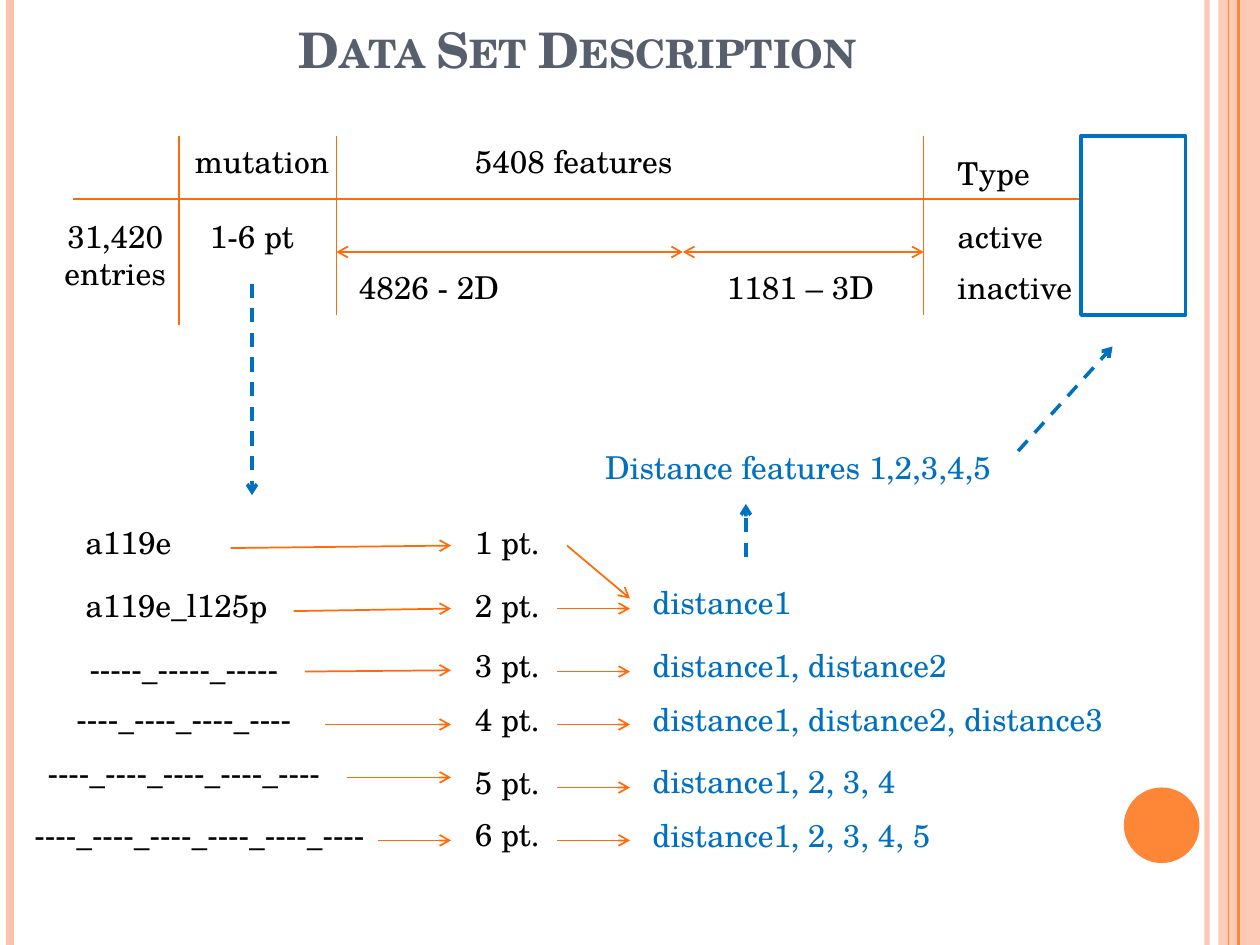
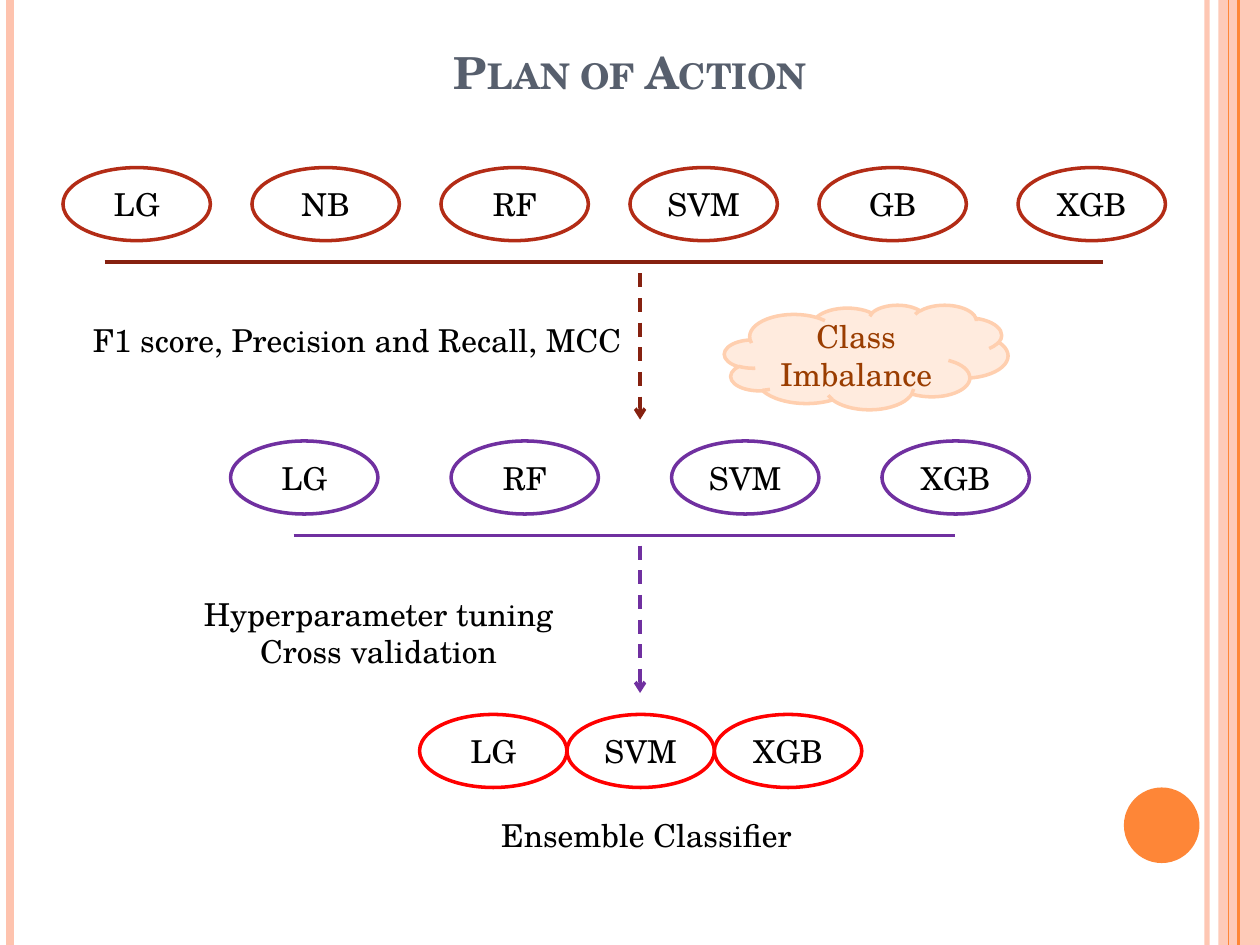
from pptx import Presentation
from pptx.dml.color import RGBColor
from pptx.enum.dml import MSO_LINE
from pptx.enum.shapes import MSO_CONNECTOR, MSO_SHAPE
from pptx.enum.text import MSO_ANCHOR, MSO_AUTO_SIZE, PP_ALIGN
from pptx.oxml.ns import qn
from pptx.util import Inches, Pt
from lxml.etree import SubElement

FONT = "TeX Gyre Schola"
COLORS = {
    "text": "000000", "title": "575F6D", "white": "FFFFFF",
    "band": "FEC3AE", "accent": "FE8637", "arrow": "FF6B0A", "blue": "0070C0",
    "rust": "B32C16", "dark rust": "862110", "purple": "7030A0", "red": "FF0000",
    "cloud": "FFCFAF", "cloud text": "9A3D01",
}
LEFT, CENTER = PP_ALIGN.LEFT, PP_ALIGN.CENTER

# Shared side bands: x, colour, width in points, opacity
BAND_LINES = [(9.58, "band", 3, 93), (0.08, "band", 4.5, 100),
              (9.83, "accent", 1.5, 100), (9.75, "accent", 0.75, 100)]

# Slide 1: table heads and cells as left, top, width, alignment, lines
DATA_LABELS = [
    (0.33, 1.67, 1.17, CENTER, ["31,420", "entries"]),
    (1.33, 1.08, 1.5, CENTER, ["mutation"]),
    (1.5, 1.67, 1, CENTER, ["1-6 pt"]),
    (3.67, 1.08, 2, LEFT, ["5408 features"]),
    (2.75, 2.08, 1.42, LEFT, ["4826 - 2D"]),
    (5.67, 2.08, 1.42, LEFT, ["1181 – 3D"]),
    (7.5, 1.17, 0.83, LEFT, ["Type"]),
    (7.5, 1.67, 1.17, LEFT, ["active"]),
    (7.5, 2.08, 1.17, LEFT, ["inactive"]),
]
TABLE_RULES = [((0.58, 1.58), (8.58, 1.58)), ((1.42, 1.08), (1.42, 2.58)),
               ((2.67, 2.5), (2.67, 1.08)), ((7.33, 1.08), (7.33, 2.5))]
FEATURE_SPANS = [(2.67, 5.42), (5.42, 7.33)]
BLUE_ARROWS = [((2, 2.25), (2, 3.93)), ((8.08, 3.58), (8.83, 2.75)),
               ((5.92, 4.42), (5.92, 4))]

# Mutation: text, left, top, width, alignment, arrow start;
# then the top of the point count
MUTATIONS = [
    ("a119e", 0.58, 4.1, 0.92, LEFT, (1.83, 4.35), 4.1),
    ("a119e_l125p", 0.58, 4.6, 1.67, LEFT, (2.33, 4.85), 4.6),
    ("-----_-----_-----", 0.42, 5.1, 2.08, CENTER, (2.42, 5.33), 5.08),
    ("----_----_----_----", 0.42, 5.5, 2.08, CENTER, (2.58, 5.75), 5.51),
    ("----_----_----_----_----", 0.25, 5.93, 2.42, CENTER, (2.75, 6.17), 6.01),
    ("----_----_----_----_----_----", 0.17, 6.42, 2.83, CENTER, (3, 6.67), 6.42),
]
MUTATION_ARROW_ENDS = [4.33, 4.83, 5.32, 5.75, 6.17, 6.67]
# Distances: text, top, width, arrow height
DISTANCES = [
    ("distance1", 4.58, 1.92, 4.83),
    ("distance1, distance2", 5.08, 2.75, 5.33),
    ("distance1, distance2, distance3", 5.51, 4.25, 5.75),
    ("distance1, 2, 3, 4", 6, 3.42, 6.25),
    ("distance1, 2, 3, 4, 5", 6.43, 2.75, 6.67),
]

# Slide 2: outline colour, top, models with their left edge
MODEL_ROWS = [
    ("rust", 1.33, {"LG": 0.5, "NB": 2, "RF": 3.5, "SVM": 5, "GB": 6.5, "XGB": 8.08}),
    ("purple", 3.5, {"LG": 1.83, "RF": 3.58, "SVM": 5.33, "XGB": 7}),
    ("red", 5.67, {"LG": 3.33, "SVM": 4.5, "XGB": 5.67}),
]
MODEL_SIZE = (1.17, 0.58)
# Steps: colour, rule left, rule right, rule y, arrow top, arrow bottom
STEPS = [("dark rust", 0.83, 8.75, 2.08, 2.17, 3.33),
         ("purple", 2.33, 7.58, 4.25, 4.33, 5.5)]
STEP_X = 5.08
STEP_NOTES = [("F1 score, Precision and Recall, MCC", 0.42, 2.5, 4.83, 0.4),
              ("Hyperparameter tuning Cross validation", 1.42, 4.67, 3.17, 0.71),
              ("Ensemble Classifier", 3.67, 6.43, 2.92, 0.4)]


def rgb(name):
    return RGBColor.from_string(COLORS[name])


def set_opacity(element, percent):
    if percent < 100:
        color = next(element.iter(qn("a:srgbClr")))
        SubElement(color, qn("a:alpha"), val=str(percent * 1000))


def write(frame, lines, color="text", align=CENTER, size=18):
    frame.word_wrap = True
    for index, line in enumerate(lines):
        paragraph = frame.paragraphs[0] if index == 0 else frame.add_paragraph()
        paragraph.alignment = align
        run = paragraph.add_run()
        run.text = line
        run.font.name, run.font.size = FONT, Pt(size)
        run.font.color.rgb = rgb(color)
    return run


def add_label(slide, lines, left, top, width, height=0.4, align=CENTER, color="text"):
    box = slide.shapes.add_textbox(*map(Inches, (left, top, width, height)))
    write(box.text_frame, lines, color, align)
    box.text_frame.auto_size = MSO_AUTO_SIZE.SHAPE_TO_FIT_TEXT


def add_title(slide, title, width, height, size):
    box = slide.shapes.add_textbox(*map(Inches, (0.5, 0.3, width, height)))
    box.text_frame.vertical_anchor = MSO_ANCHOR.BOTTOM
    run = write(box.text_frame, [title], "title", size=size)
    run.font.bold = True
    run.font._element.set("cap", "small")


def add_line(slide, start, end, color="arrow", width=1, dashed=False,
             head=False, tail=False, opacity=100):
    line = slide.shapes.add_connector(
        MSO_CONNECTOR.STRAIGHT, *map(Inches, (*start, *end)))
    line.line.color.rgb, line.line.width = rgb(color), Pt(width)
    if dashed:
        line.line.dash_style = MSO_LINE.DASH
    properties = line._element.spPr
    set_opacity(properties, opacity)
    outline = line.line._get_or_add_ln()
    for tag, wanted in (("a:headEnd", head), ("a:tailEnd", tail)):
        if wanted:
            SubElement(outline, qn(tag), type="arrow")
    SubElement(properties, qn("a:effectLst"))


def add_figure(slide, preset, left, top, width, height,
               fill=None, outline=None, opacity=100):
    figure = slide.shapes.add_shape(preset, *map(Inches, (left, top, width, height)))
    figure.shadow.inherit = False
    if fill:
        figure.fill.solid()
        figure.fill.fore_color.rgb = rgb(fill)
        set_opacity(figure._element.spPr, opacity)
    else:
        figure.fill.background()
    if outline:
        figure.line.color.rgb, figure.line.width = rgb(outline), Pt(2)
    else:
        figure.line.fill.background()
    figure.text_frame.vertical_anchor = MSO_ANCHOR.MIDDLE
    return figure


def add_framed_slide(deck):
    """Blank slide with the side bands and the round badge."""
    slide = deck.slides.add_slide(deck.slide_layouts[6])
    add_figure(slide, MSO_SHAPE.RECTANGLE, 9.67, 0, 0.33, 7.5, "band", opacity=87)
    for x, color, width, opacity in BAND_LINES:
        add_line(slide, (x, 0), (x, 7.5), color, width, opacity=opacity)
    add_figure(slide, MSO_SHAPE.OVAL, 8.92, 6.25, 0.6, 0.6, "accent")
    return slide


def build_data_set(deck):
    slide = add_framed_slide(deck)
    add_title(slide, "Data Set Description", 8.17, 0.37, 28)

    # Table sketch
    for left, top, width, align, lines in DATA_LABELS:
        add_label(slide, lines, left, top, width, 0.4 if len(lines) == 1 else 0.71, align)
    for start, end in TABLE_RULES:
        add_line(slide, start, end)
    for left, right in FEATURE_SPANS:
        add_line(slide, (left, 2), (right, 2), head=True, tail=True)
    add_figure(slide, MSO_SHAPE.RECTANGLE, 8.58, 1.08, 0.83, 1.42, outline="blue")

    # Mutations and their point counts
    rows = zip(MUTATIONS, MUTATION_ARROW_ENDS)
    for count, (mutation, arrow_end) in enumerate(rows, 1):
        name, left, top, width, align, arrow_start, count_top = mutation
        add_label(slide, [name], left, top, width, align=align)
        add_line(slide, arrow_start, (3.58, arrow_end), tail=True)
        add_label(slide, [f"{count} pt."], 3.67, count_top, 0.92, align=LEFT)

    # Distances
    add_line(slide, (4.5, 4.33), (5, 4.75), tail=True)
    for distance, top, width, arrow_y in DISTANCES:
        add_line(slide, (4.42, arrow_y), (5, arrow_y), tail=True)
        add_label(slide, [distance], 5.08, top, width, align=LEFT, color="blue")
    add_label(slide, ["Distance features 1,2,3,4,5"], 4.5, 3.51, 3.67, color="blue")
    for start, end in BLUE_ARROWS:
        add_line(slide, start, end, "blue", 2, dashed=True, tail=True)


def build_plan(deck):
    slide = add_framed_slide(deck)
    add_title(slide, "Plan of Action", 9, 0.53, 25.2)

    # Models that remain after each step
    for color, top, models in MODEL_ROWS:
        for model, left in models.items():
            oval = add_figure(slide, MSO_SHAPE.OVAL, left, top, *MODEL_SIZE, "white", color)
            write(oval.text_frame, [model])

    # Steps between the rows
    for color, left, right, rule_y, top, bottom in STEPS:
        add_line(slide, (left, rule_y), (right, rule_y), color, 2)
        add_line(slide, (STEP_X, top), (STEP_X, bottom), color, 2, dashed=True, tail=True)
    for note, *place in STEP_NOTES:
        add_label(slide, [note], *place)

    cloud = add_figure(slide, MSO_SHAPE.CLOUD, 5.75, 2.42, 2.25, 0.83,
                       "cloud", "cloud", opacity=41)
    write(cloud.text_frame, ["Class Imbalance"], "cloud text")


def main():
    deck = Presentation()
    deck.slide_width, deck.slide_height = Inches(10), Inches(7.5)
    build_data_set(deck)
    build_plan(deck)
    deck.save("out.pptx")


if __name__ == "__main__":
    main()
